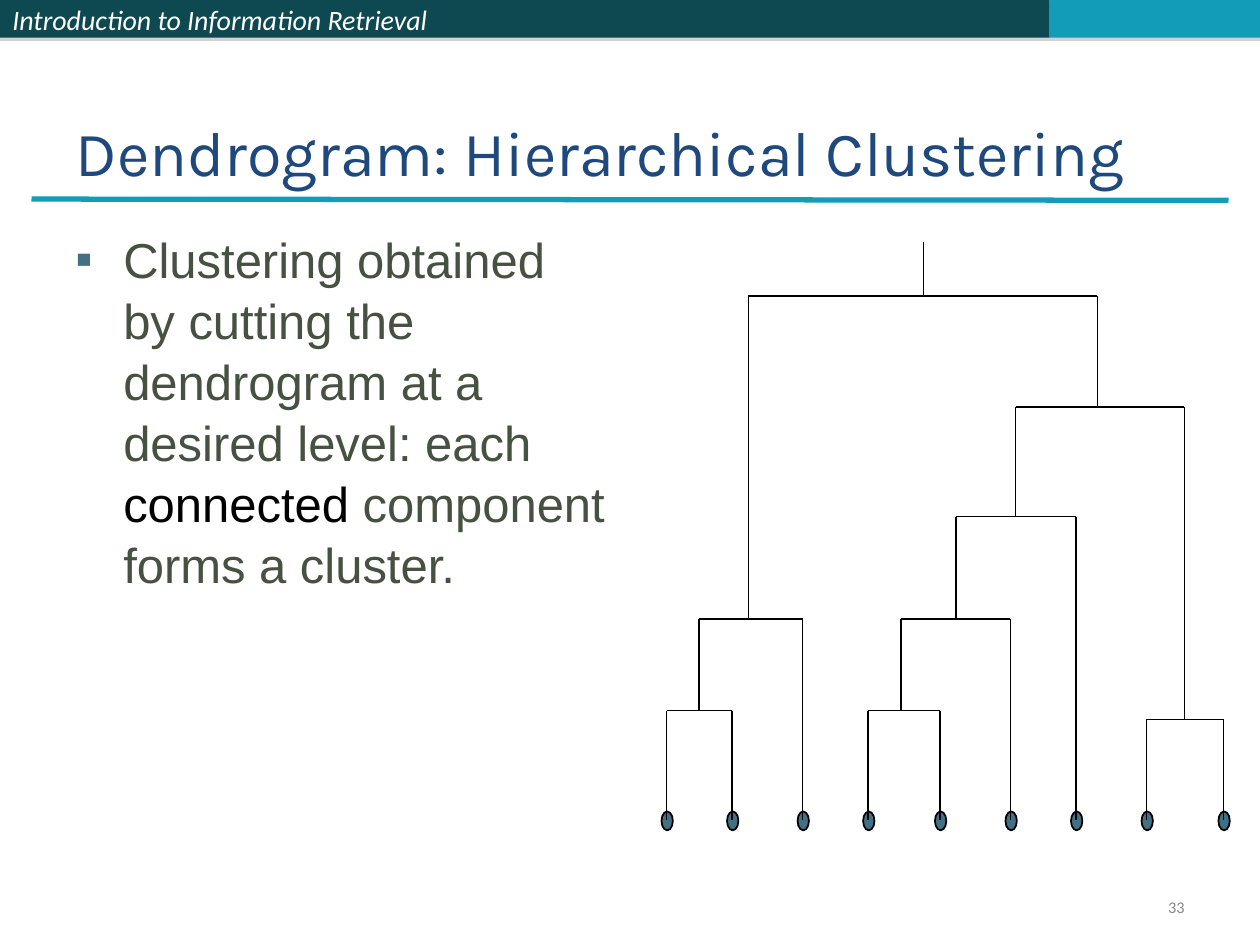
"""Build the dendrogram slide on hierarchical clustering."""
from typing import NamedTuple

from lxml.etree import SubElement
from pptx import Presentation
from pptx.dml.color import RGBColor
from pptx.enum.shapes import MSO_CONNECTOR as Connector, MSO_SHAPE as Shape
from pptx.enum.text import MSO_ANCHOR as Anchor, MSO_AUTO_SIZE as AutoSize, PP_ALIGN as Align
from pptx.oxml.ns import qn
from pptx.util import Emu, Pt

EMU_PER_PX = 9144
DARK_TEAL = RGBColor(0x0E, 0x48, 0x51)
TEAL = RGBColor(0x13, 0x9C, 0xB7)
NAVY = RGBColor(0x1F, 0x49, 0x7D)
OLIVE = RGBColor(0x46, 0x51, 0x42)
STEEL = RGBColor(0x43, 0x70, 0x85)
GREY = RGBColor(0x89, 0x89, 0x89)
SHADOW = RGBColor(0x80, 0x80, 0x80)
BLACK = RGBColor(0, 0, 0)
WHITE = RGBColor(0xFF, 0xFF, 0xFF)

LEAF_Y = 651
LEAF_WIDTH, LEAF_HEIGHT = 9, 15


class Band(NamedTuple):
    left: int
    width: int
    color: RGBColor


class Merge(NamedTuple):
    left: int
    right: int
    top: int
    left_foot: int = LEAF_Y
    right_foot: int = LEAF_Y


BANDS = [Band(0, 408, DARK_TEAL), Band(408, 425, DARK_TEAL), Band(833, 167, TEAL)]
LEAVES = [529, 581, 637, 689, 746, 802, 854, 910, 971]
MERGES = [
    Merge(529, 581, 564),
    Merge(689, 746, 564),
    Merge(910, 971, 571),
    Merge(555, 637, 491, left_foot=564),
    Merge(715, 802, 491, left_foot=564),
    Merge(759, 854, 410, left_foot=491),
    Merge(806, 940, 323, left_foot=410, right_foot=571),
    Merge(594, 871, 235, left_foot=491, right_foot=323),
]


def px(*lengths: int) -> list[Emu]:
    return [Emu(length * EMU_PER_PX) for length in lengths]


def style_font(font, name: str, size: float, color: RGBColor) -> None:
    font.name = name
    font.size = Pt(size)
    font.color.rgb = color


def add_line(page, x1: int, y1: int, x2: int, y2: int, color=BLACK, width: float = 1) -> None:
    line = page.shapes.add_connector(Connector.STRAIGHT, *px(x1, y1, x2, y2))
    line.line.color.rgb = color
    line.line.width = Pt(width)
    SubElement(line._element.spPr, qn("a:effectLst"))


def add_band(page, band: Band):
    shape = page.shapes.add_shape(Shape.RECTANGLE, *px(band.left, 0, band.width, 30))
    shape.fill.solid()
    shape.fill.fore_color.rgb = band.color
    shape.line.fill.background()
    shape.shadow.inherit = False
    effects = shape._element.spPr.find(qn("a:effectLst"))
    shadow = SubElement(effects, qn("a:outerShdw"), dist=str(Pt(1.8)), dir="5400000", rotWithShape="0")
    color = SubElement(shadow, qn("a:srgbClr"), val=str(SHADOW))
    SubElement(color, qn("a:alpha"), val="35000")
    return shape


def add_leaf(page, x: int) -> None:
    corner = px(x - LEAF_WIDTH // 2, LEAF_Y - LEAF_HEIGHT // 2)
    leaf = page.shapes.add_shape(Shape.OVAL, *corner, *px(LEAF_WIDTH, LEAF_HEIGHT))
    leaf.fill.solid()
    leaf.fill.fore_color.rgb = STEEL
    leaf.line.color.rgb = BLACK
    leaf.line.width = Pt(1)
    leaf.shadow.inherit = False


def add_merge(page, merge: Merge) -> None:
    add_line(page, merge.left, merge.top, merge.right, merge.top)
    add_line(page, merge.left, merge.top, merge.left, merge.left_foot)
    add_line(page, merge.right, merge.top, merge.right, merge.right_foot)


def add_header(page) -> None:
    course, *_ = [add_band(page, band) for band in BANDS]
    course.text_frame.text = "Introduction to Information Retrieval"
    course.text_frame.vertical_anchor = Anchor.MIDDLE
    para = course.text_frame.paragraphs[0]
    para.alignment = Align.LEFT
    style_font(para.runs[0].font, "Calibri", 16, WHITE)
    para.runs[0].font.italic = True
    add_line(page, 25, 158, 975, 159, TEAL, 3)


def set_title(page) -> None:
    title = page.shapes.title
    title.left, title.top, title.width, title.height = px(50, 30, 900, 125)
    frame = title.text_frame
    frame.text = "Dendrogram: Hierarchical Clustering"
    frame.auto_size = AutoSize.NONE
    frame.vertical_anchor = Anchor.BOTTOM
    frame.paragraphs[0].alignment = Align.LEFT
    style_font(frame.paragraphs[0].runs[0].font, "Karla", 36, NAVY)


def add_body(page) -> None:
    box = page.shapes.add_textbox(*px(50, 175, 442, 495))
    box.text_frame.word_wrap = True
    para = box.text_frame.paragraphs[0]
    properties = para._p.get_or_add_pPr()
    indent = 38 * EMU_PER_PX
    properties.set("marL", str(indent))
    properties.set("indent", str(-indent))
    bullet_color = SubElement(properties, qn("a:buClr"))
    SubElement(bullet_color, qn("a:srgbClr"), val=str(STEEL))
    SubElement(properties, qn("a:buFont"), typeface="Arial")
    SubElement(properties, qn("a:buChar"), char="▪")
    para.line_spacing = 1.04
    for text, color in [
        ("Clustering obtained by cutting the dendrogram at a desired level: each ", OLIVE),
        ("connected", BLACK),
        (" component forms a cluster.", OLIVE),
    ]:
        span = para.add_run()
        span.text = text
        style_font(span.font, "Arial", 28, color)


def add_page_number(page) -> None:
    box = page.shapes.add_textbox(*px(717, 708, 233, 27))
    frame = box.text_frame
    frame.word_wrap = True
    frame.text = "33"
    frame.vertical_anchor = Anchor.MIDDLE
    para = frame.paragraphs[0]
    para.alignment = Align.RIGHT
    para.line_spacing = 0.8
    style_font(para.runs[0].font, "Calibri", 9.3, GREY)


def add_dendrogram(page) -> None:
    for x in LEAVES:
        add_leaf(page, x)
    for merge in MERGES:
        add_merge(page, merge)
    add_line(page, 733, 192, 733, MERGES[-1].top)


def main() -> None:
    deck = Presentation()
    deck.slide_width, deck.slide_height = px(1000, 750)
    page = deck.slides.add_slide(deck.slide_layouts[5])
    add_header(page)
    set_title(page)
    add_body(page)
    add_page_number(page)
    add_dendrogram(page)
    deck.save("out.pptx")


if __name__ == "__main__":
    main()
